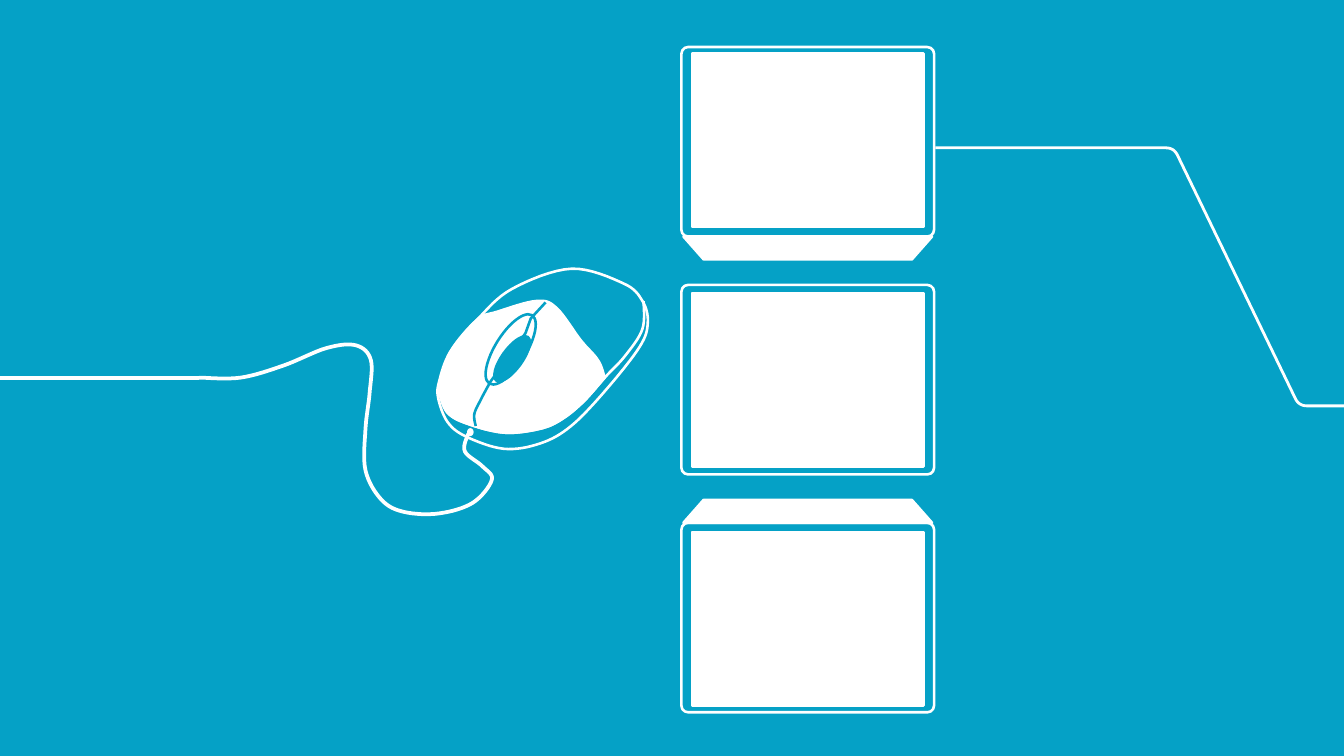
"""Draw a computer mouse on its cord beside a column of three screens."""
from lxml import etree
from pptx import Presentation
from pptx import util as u
from pptx.dml import color
from pptx.enum import shapes
from pptx.oxml import ns

COLORS = {"ground": "05A1C6", "ink": "FFFFFF"}
KIND = shapes.MSO_SHAPE
WIDTH = u.Inches(10)
HEIGHT = WIDTH * 9 // 16
CELL = WIDTH // 1000
THIN, CABLE, CORD = 1.38, 1.5, 2
STEPS = 8

COLUMN_X, COLUMN_Y = 601, 282.5
CASE = {"size": (188, 141), "step": 177}
SCREEN = {"size": (172, 129), "step": 178}
FLAP = {"size": (185, 17), "inset": 15}
CASE_RADIUS, BEND_RADIUS = 5, 6

SHELL = [(381, 215), (425, 200), (464, 211), (478, 224), (482, 240), (476, 258), (451, 290),
         (425, 317), (402, 330), (375, 334), (347, 325), (333, 314), (326, 296), (327, 283),
         (335, 262), (355, 238)]
RIM = [(479, 224), (478, 245), (465, 265)]
FRONT = [(450, 281), (434, 299), (418, 312), (402, 319), (376, 322), (350, 316), (333, 307), (326, 289)]
BACK = [(335, 262), (355, 238), (370, 232), (399, 224), (414, 229), (432, 253), (445, 268)]
SEAM_ABOVE = [(406, 225), (395, 237), (391, 248)]
SEAM_BELOW = [(365, 284), (358, 297), (353, 308), (354, 317)]
CORD_KNOTS = [(148, 281), (179, 281), (211, 272), (243, 259), (265, 257), (276, 268), (275, 293),
              (272, 319), (272, 350), (284, 372), (301, 381), (327, 382), (352, 374), (366, 357),
              (359, 347), (346, 336), (348, 324), (351, 322)]
CABLE_CORNERS = [(696, 110), (873.5, 110), (966.5, 302), (1000, 302)]


def rgb(name):
    """Return the named colour."""
    return color.RGBColor.from_string(COLORS[name])


def between(start, end, share):
    """Return the point at a share of the way from start to end."""
    return tuple(a + (b - a) * share for a, b in zip(start, end))


def smooth(knots, closed=False):
    """Run a Catmull-Rom curve through the knots."""
    if closed:
        chain = [knots[-1], *knots, *knots[:2]]
    else:
        chain = [knots[0], *knots, knots[-1]]
    points = [chain[1]]
    for before, start, end, after in zip(chain, chain[1:], chain[2:], chain[3:]):
        for step in range(1, STEPS + 1):
            t = step / STEPS
            points.append(tuple(
                b + t / 2 * (c - a + t * (2 * a - 5 * b + 4 * c - d + t * (3 * (b - c) + d - a)))
                for a, b, c, d in zip(before, start, end, after)))
    return points


def rounded(corners, radius):
    """Replace each inner corner by a short arc."""
    points = [corners[0]]
    for before, corner, after in zip(corners, corners[1:], corners[2:]):
        start, end = (between(corner, far, radius / abs(complex(far[0] - corner[0], far[1] - corner[1])))
                      for far in (before, after))
        for step in range(STEPS + 1):
            t = step / STEPS
            points.append(between(between(start, corner, t), between(corner, end, t), t))
    return points + [corners[-1]]


def paint(shape, fill=None, line=None, weight=THIN):
    """Set the fill and line of a shape."""
    shape.shadow.inherit = False
    for part, name in ((shape.fill, fill), (shape.line.fill, line)):
        if name:
            part.solid()
            part.fore_color.rgb = rgb(name)
        else:
            part.background()
    if line:
        shape.line.width = u.Pt(weight)


def outline(canvas, points, close=False, **style):
    """Draw a freeform through grid points."""
    spots = [(round(x * CELL), round(y * CELL)) for x, y in points]
    builder = canvas.build_freeform(*spots[0], scale=1.0)
    builder.add_line_segments(spots[1:], close=close)
    paint(builder.convert_to_shape(), **style)


def preset(canvas, kind, center, size, turn=0, adjust=None, **style):
    """Draw a preset shape around a grid point."""
    corner = [middle - length / 2 for middle, length in zip(center, size)]
    shape = canvas.add_shape(kind, *(round(n * CELL) for n in (*corner, *size)))
    shape.rotation = turn
    if adjust is not None:
        shape.adjustments[0] = adjust
    paint(shape, **style)


def straight(canvas, start, end, weight):
    """Draw a straight line between two grid points."""
    line = canvas.add_connector(shapes.MSO_CONNECTOR.STRAIGHT, *(n * CELL for n in start + end))
    line.line.color.rgb = rgb("ink")
    line.line.width = u.Pt(weight)
    etree.SubElement(line._element.spPr, ns.qn("a:effectLst"))


def draw_mouse(canvas):
    """Draw the body, shell, wheel and seam of the mouse."""
    body = smooth(FRONT) + smooth([FRONT[-1], *BACK, FRONT[0]])
    outline(canvas, body, close=True, fill="ink", line="ink")
    outline(canvas, smooth(RIM + FRONT), line="ink")
    outline(canvas, smooth(SHELL, closed=True), close=True, line="ink")
    preset(canvas, KIND.OVAL, (380, 260), (23, 60), turn=32, line="ground")
    preset(canvas, KIND.OVAL, (381, 267), (15, 40), turn=36, fill="ground", line="ground")
    outline(canvas, SEAM_ABOVE + smooth(SEAM_BELOW), line="ground")


def draw_cord(canvas):
    """Draw the cord from the slide's edge to its plug on the mouse."""
    straight(canvas, (0, 281), CORD_KNOTS[0], CORD)
    outline(canvas, smooth(CORD_KNOTS), line="ink", weight=CORD)
    preset(canvas, KIND.OVAL, (350, 321.5), (4, 5), fill="ink", line="ink", weight=0.63)


def draw_monitor(canvas, row):
    """Draw one monitor; row -1 is above the middle one and row 1 below it."""
    case_y, screen_y = (COLUMN_Y + row * part["step"] for part in (CASE, SCREEN))
    case_height, flap_height = CASE["size"][1], FLAP["size"][1]
    group = canvas.add_group_shape().shapes
    preset(group, KIND.ROUNDED_RECTANGLE, (COLUMN_X, case_y), CASE["size"],
           adjust=CASE_RADIUS / case_height, line="ink")
    if row:
        flap_y = case_y - row * (case_height + flap_height) / 2
        preset(group, KIND.TRAPEZOID, (COLUMN_X, flap_y), FLAP["size"], turn=180 if row < 0 else 0,
               adjust=FLAP["inset"] / flap_height, fill="ink", line="ink")
    preset(group, KIND.RECTANGLE, (COLUMN_X, screen_y), SCREEN["size"], fill="ink", line="ink")


def main():
    """Build and save the deck."""
    deck = Presentation()
    deck.slide_width, deck.slide_height = WIDTH, HEIGHT
    page = deck.slides.add_slide(deck.slide_layouts[6])
    page.background.fill.solid()
    page.background.fill.fore_color.rgb = rgb("ground")
    draw_mouse(page.shapes)
    draw_cord(page.shapes)
    for row in (-1, 0, 1):
        draw_monitor(page.shapes, row)
    outline(page.shapes, rounded(CABLE_CORNERS, BEND_RADIUS), line="ink", weight=CABLE)
    deck.save("out.pptx")


main()
